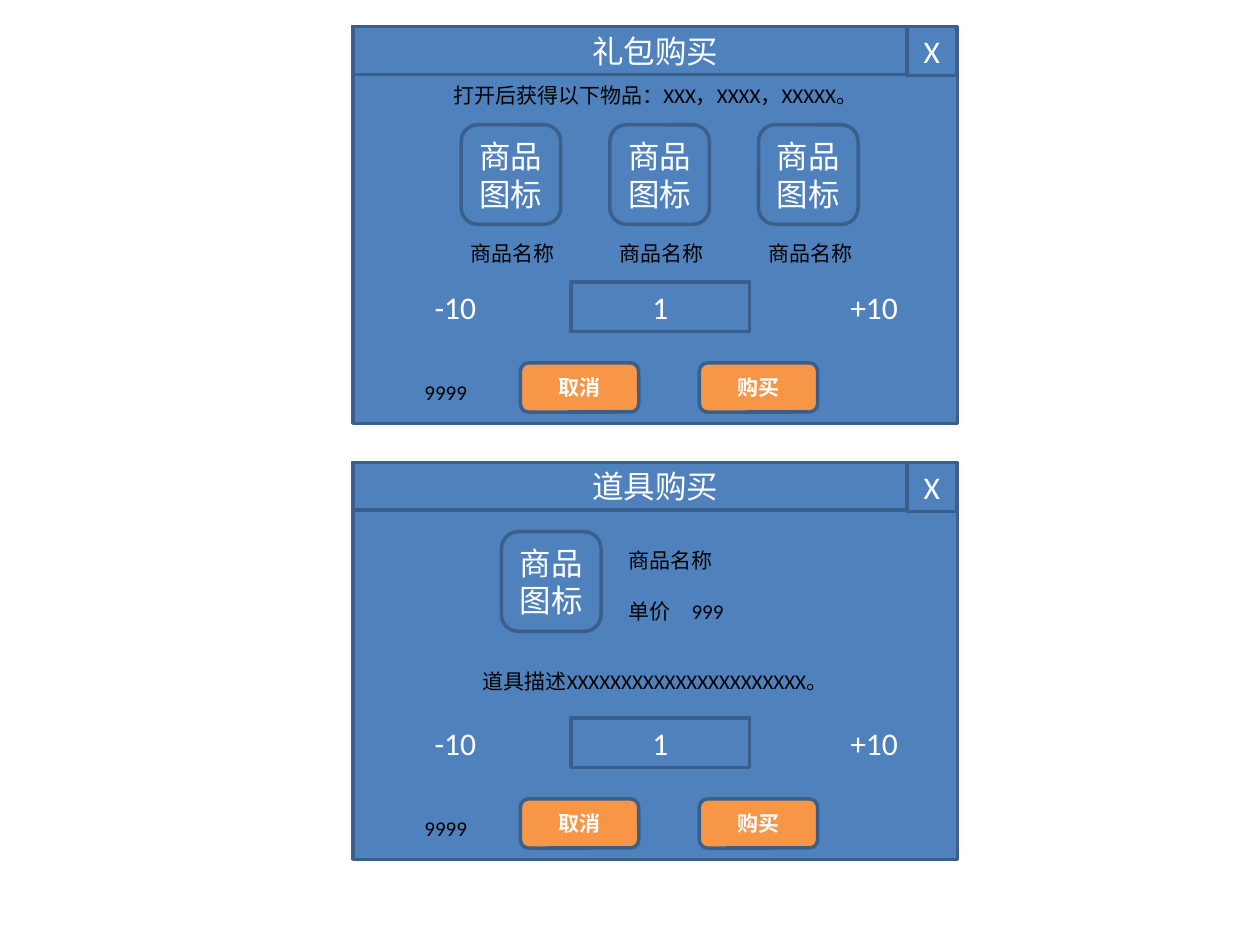
from lxml import etree
from pptx import Presentation
from pptx.dml.color import RGBColor
from pptx.enum import shapes, text
from pptx.oxml import ns
from pptx.util import Inches, Pt

BLUE = RGBColor(0x4F, 0x81, 0xBD)
EDGE = RGBColor(0x3A, 0x5F, 0x8C)
ORANGE = RGBColor(0xF7, 0x96, 0x46)
WHITE = RGBColor(0xFF, 0xFF, 0xFF)
BLACK = RGBColor(0x00, 0x00, 0x00)

RECT = shapes.MSO_SHAPE.RECTANGLE
ROUND = shapes.MSO_SHAPE.ROUNDED_RECTANGLE
CENTER, LEFT = text.PP_ALIGN.CENTER, text.PP_ALIGN.LEFT

LARGE = {"name": "Calibri", "size": Pt(18), "bold": False}
SMALL = {"name": "Calibri", "size": Pt(12), "bold": False}
BUTTON = {"name": "Calibri", "size": Pt(12), "bold": True}

DIALOG_LEFT, DIALOG_WIDTH, DIALOG_HEIGHT = 2.8, 4.8, 3.15
ICON = 0.79


def write(para, words, style, color, align):
    para.alignment = align
    span = para.add_run()
    span.text = words
    for name, value in style.items():
        setattr(span.font, name, value)
    span.font.color.rgb = color


def add_block(page, box, words="", kind=RECT, fill=BLUE, style=LARGE):
    block = page.shapes.add_shape(kind, *map(Inches, box))
    block.shadow.inherit = False
    block.fill.solid()
    block.fill.fore_color.rgb = fill
    block.line.color.rgb = EDGE
    block.line.width = Pt(2)
    frame = block.text_frame
    frame.word_wrap = True
    frame.vertical_anchor = text.MSO_ANCHOR.MIDDLE
    if words:
        write(frame.paragraphs[0], words, style, WHITE, CENTER)


def add_label(page, box, words, style=SMALL, color=BLACK, align=LEFT):
    frame = page.shapes.add_textbox(*map(Inches, box)).text_frame
    frame.word_wrap = True
    frame.auto_size = text.MSO_AUTO_SIZE.SHAPE_TO_FIT_TEXT
    write(frame.paragraphs[0], words, style, color, align)
    return frame


def indent(para, margin, tab):
    props = para._p.get_or_add_pPr()
    props.set("marL", str(Inches(margin)))
    props.set("indent", "0")
    stops = etree.SubElement(props, ns.qn("a:tabLst"))
    etree.SubElement(stops, ns.qn("a:tab"), pos=str(Inches(tab)), algn="l")


def add_icon(page, left, top):
    add_block(page, (left, top, ICON, ICON), "商品图标", ROUND)


def add_dialog(page, left, top, title):
    """Frame, title bar, quantity row and buttons shared by both dialogs."""
    # Frame and title bar
    add_block(page, (left, top, DIALOG_WIDTH, DIALOG_HEIGHT))
    add_block(page, (left, top, DIALOG_WIDTH, 0.38), title)
    add_block(page, (left + 4.4, top, 0.39, 0.39), "X")

    # Quantity row
    row = top + 2.03
    add_block(page, (left + 1.73, row, 1.42, 0.39), "1")
    for offset, width, words in ((0.55, 0.55, "-10"), (3.85, 0.63, "+10")):
        add_label(page, (left + offset, row, width, 0.4), words, LARGE, WHITE)

    # Balance and buttons
    add_label(page, (left + 0.47, top + 2.75, 0.79, 0.3), "9999")
    for offset, words in ((1.33, "取消"), (2.75, "购买")):
        add_block(page, (left + offset, top + 2.67, 0.94, 0.39), words,
                  ROUND, ORANGE, BUTTON)


def add_pack_dialog(page, left, top):
    add_dialog(page, left, top, "礼包购买")
    add_label(page, (left, top + 0.4, DIALOG_WIDTH, 0.3),
              "打开后获得以下物品：XXX，XXXX，XXXXX。", align=CENTER)

    # Three goods, each with its name below
    for column in range(3):
        icon_left = left + 0.86 + column * 1.18
        add_icon(page, icon_left, top + 0.78)
        add_label(page, (icon_left - 0.14, top + 1.65, 1.1, 0.3),
                  "商品名称", align=CENTER)


def add_item_dialog(page, left, top):
    add_dialog(page, left, top, "道具购买")

    # Item with name and unit price
    add_icon(page, left + 1.18, top + 0.55)
    frame = add_label(page, (left + 2.04, top + 0.63, 1.73, 0.71), "商品名称")
    price = frame.add_paragraph()
    price.space_before = Pt(14.4)
    for para in frame.paragraphs:
        indent(para, 0.05, 0.9)
    write(price, "单价\t999", SMALL, BLACK, LEFT)

    # Description
    add_label(page, (left, top + 1.59, DIALOG_WIDTH, 0.3),
              "道具描述XXXXXXXXXXXXXXXXXXXXXX。", align=CENTER)


def main():
    deck = Presentation()
    deck.slide_width, deck.slide_height = Inches(10), Inches(7.5)
    page = deck.slides.add_slide(deck.slide_layouts[6])
    add_pack_dialog(page, DIALOG_LEFT, 0.21)
    add_item_dialog(page, DIALOG_LEFT, 3.67)
    deck.save("out.pptx")


if __name__ == "__main__":
    main()
